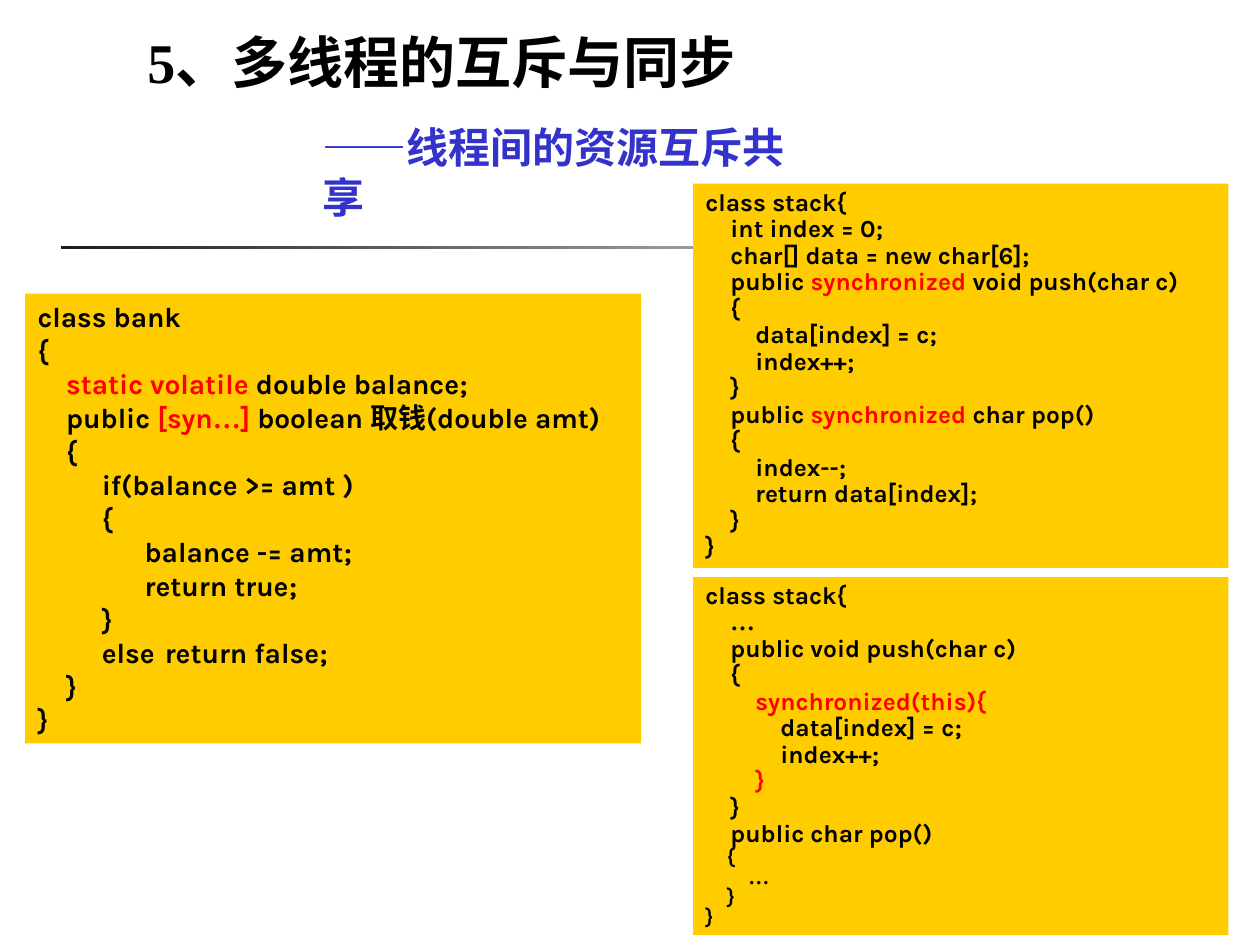
from lxml import etree
from pptx import Presentation
from pptx import util as u
from pptx.dml.color import RGBColor
from pptx.enum import shapes, text
from pptx.oxml import ns

STACK_METHODS = """class stack{
    int index = 0;
    char[] data = new char[6];
    public |synchronized| void push(char c)
    {
        data[index] = c;
        index++;
    }
    public |synchronized| char pop()
    {
        index--;
        return data[index];
    }
}"""

BANK = """class bank
{
    |static volatile| double balance;
    public |[syn…]| boolean 取钱(double amt)
    {
         if(balance >= amt )
         {
               balance -= amt;
               return true;
         }
         else\treturn false;
    }
}"""

STACK_BLOCK = """class stack{
    …
    public void push(char c)
    {
        |synchronized(this){|
            data[index] = c;
            index++;
        |}|
    }
    public char pop()"""

STACK_BLOCK_END = """    {
        …
    }
}"""


def color(value):
    return RGBColor.from_string(value)


def add_run(paragraph, words, size, font, fill="000000"):
    run = paragraph.add_run()
    run.text = words
    run.font.size = u.Pt(size)
    run.font.name = font
    run.font.bold = True
    run.font.color.rgb = color(fill)


def indent(paragraph, points):
    props = paragraph._p.get_or_add_pPr()
    props.set("marL", str(u.Pt(points)))
    props.set("indent", "0")


def add_tab_stop(paragraph, points):
    tabs = etree.SubElement(paragraph._p.get_or_add_pPr(), ns.qn("a:tabLst"))
    etree.SubElement(tabs, ns.qn("a:tab"), pos=str(u.Pt(points)), algn="l")


class SlideWriter:
    code_font = "Karla"
    serif = "Times New Roman"
    panel_fill = "FFCC00"
    keyword = "FF0000"
    space_width = 0.255  # one code space, in ems

    def __init__(self, slide):
        self.slide = slide

    def place(self, shape, left, top, width, height):
        shape.left, shape.top = u.Pt(left), u.Pt(top)
        shape.width, shape.height = u.Pt(width), u.Pt(height)

    def rectangle(self, *box):
        rect = self.slide.shapes.add_shape(
            shapes.MSO_SHAPE.RECTANGLE, *map(u.Pt, box))
        rect.shadow.inherit = False
        rect.line.fill.background()
        return rect

    def frame(self, shape, wrap=True):
        frame = shape.text_frame
        frame.word_wrap = wrap
        frame.auto_size = text.MSO_AUTO_SIZE.SHAPE_TO_FIT_TEXT
        frame.vertical_anchor = text.MSO_ANCHOR.TOP
        return frame

    def rule(self, *box):
        rule = self.rectangle(*box)
        rule.fill.gradient()
        rule.fill.gradient_angle = 0
        for stop, shade in zip(rule.fill.gradient_stops, ("1C1C1C", "FFFFFF")):
            stop.color.rgb = color(shade)

    def title(self, lines, *box):
        shape = self.slide.shapes.title
        self.place(shape, *box)
        frame = self.frame(shape, wrap=False)
        for number, (words, size, fill, before, left) in enumerate(lines):
            paragraph = frame.add_paragraph() if number else frame.paragraphs[0]
            paragraph.alignment = text.PP_ALIGN.LEFT
            paragraph.space_before = u.Pt(before)
            indent(paragraph, left)
            add_run(paragraph, words, size, self.serif, fill)

    def code(self, box, *blocks):
        """Each block is (source, size, line spacing); |...| marks red words."""
        panel = self.rectangle(*box)
        panel.fill.solid()
        panel.fill.fore_color.rgb = color(self.panel_fill)
        frame = self.frame(panel)
        lines = [(line, size, spacing) for source, size, spacing in blocks
                 for line in source.split("\n")]
        for number, (line, size, spacing) in enumerate(lines):
            paragraph = frame.add_paragraph() if number else frame.paragraphs[0]
            paragraph.alignment = text.PP_ALIGN.LEFT
            paragraph.line_spacing = spacing
            words = line.lstrip(" ")
            left = (len(line) - len(words)) * size * self.space_width
            indent(paragraph, left)
            if "\t" in words:
                add_tab_stop(paragraph, 83)
            self.code_runs(paragraph, words, size)

    def code_runs(self, paragraph, words, size):
        for number, span in enumerate(words.split("|")):
            fill = self.keyword if number % 2 else "000000"
            before, dots, after = span.partition("…")
            for piece, font in ((before, self.code_font), (dots, self.serif),
                                (after, self.code_font)):
                if piece:
                    add_run(paragraph, piece, size, font, fill)


def main():
    deck = Presentation()
    deck.slide_width, deck.slide_height = u.Pt(720), u.Pt(540)
    title_only = deck.slide_layouts[5]
    writer = SlideWriter(deck.slides.add_slide(title_only))

    # Heading and rule
    writer.title([("5、多线程的互斥与同步", 32, "000000", 20, 0),
                  ("——线程间的资源互斥共享", 24, "3333CC", 15, 100)],
                 77, 12.2, 400.3, 89.3)
    writer.rule(34.6, 140.4, 648, 2.2)

    # Code panels
    writer.code((396, 105, 306, 219.6), (STACK_METHODS, 14, 0.9))
    writer.code((14.4, 167.8, 352, 257), (BANK, 16, 1.0))
    writer.code((396, 329.8, 306, 204.5),
                (STACK_BLOCK, 14, 0.9), (STACK_BLOCK_END, 12, 0.8))

    deck.save("out.pptx")


if __name__ == "__main__":
    main()
